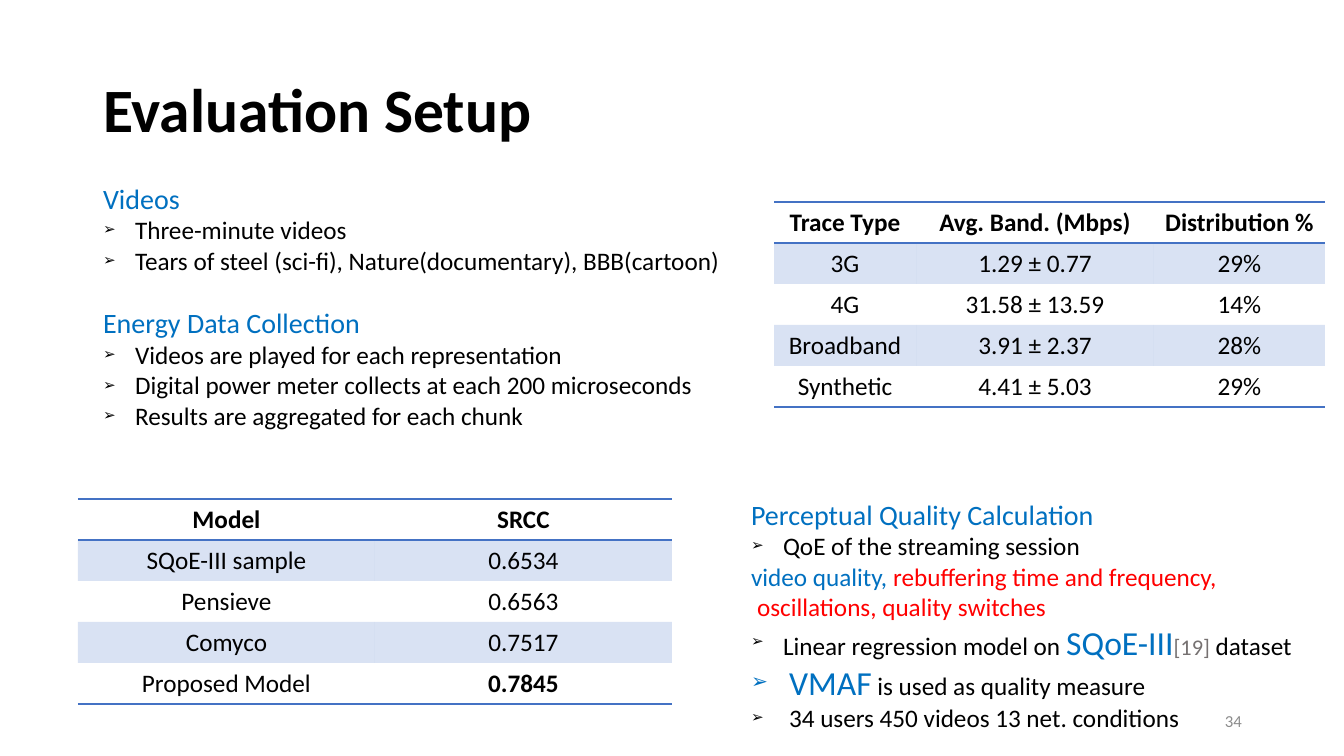
from dataclasses import dataclass
from typing import Any, Optional

from lxml.etree import SubElement
from pptx import Presentation
from pptx.dml.color import RGBColor as Rgb
from pptx.enum.text import MSO_ANCHOR as Anchor, MSO_AUTO_SIZE as Fit, PP_ALIGN as Align
from pptx.oxml.ns import qn
from pptx.util import Emu, Pt

SCALE = 914400 / 100.8  # EMU in one px
PLAIN = "{2D5ABB26-0587-4C30-8999-92F81FD0307C}"  # table style without lines


@dataclass(frozen=True)
class Theme:
    font: str = "Calibri"
    ink: str = "000000"
    blue: str = "0070C0"
    red: str = "FF0000"
    cite: str = "767171"
    page: str = "8C8C8C"
    rule: str = "4472C4"
    title: int = 44
    big: int = 24
    head: int = 20
    body: int = 18
    ref: int = 16
    small: int = 12


T = Theme()


@dataclass(frozen=True)
class Box:
    left: int
    top: int
    width: int
    height: int


@dataclass(frozen=True)
class Run:
    text: str
    size: int = T.body
    color: str = T.ink
    bold: bool = False


@dataclass(frozen=True)
class Line:
    runs: tuple[Run, ...]
    indent: int = 0
    bullet: bool = False
    before: int = 0


@dataclass(frozen=True)
class Grid:
    left: int
    top: int
    cols: tuple[int, ...]
    rows: tuple[tuple[str, ...], ...]
    strong: Optional[str] = None  # body value set in bold
    high: int = 41


def px(n: int) -> Emu:
    return Emu(round(n * SCALE))


def head(text: str, before: int = 0) -> Line:
    return Line((Run(text, T.head, T.blue),), before=before)


def item(*runs: Run, indent: int = 32) -> Line:
    return Line(runs, indent, True)


# Content
VIDEOS = (
    head("Videos"),
    item(Run("Three-minute videos")),
    item(Run("Tears of steel (sci-fi), Nature(documentary), BBB(cartoon)")),
    head("Energy Data Collection", before=22),
    item(Run("Videos are played for each representation")),
    item(Run("Digital power meter collects at each 200 microseconds")),
    item(Run("Results are aggregated for each chunk")),
)
QUALITY = (
    head("Perceptual Quality Calculation"),
    item(Run("QoE of the streaming session")),
    Line((Run("video quality, ", color=T.blue),
          Run("rebuffering time and frequency,", color=T.red))),
    Line((Run("oscillations, quality switches", color=T.red),), indent=6),
    item(Run("Linear regression model on "), Run("SQoE-III", T.big, T.blue),
         Run("[19]", T.ref, T.cite), Run(" dataset")),
    item(Run("VMAF", T.big, T.blue), Run(" is used as quality measure"), indent=38),
    item(Run("34 users 450 videos 13 net. conditions"), indent=38),
)
GRIDS = (
    Grid(774, 202, (142, 238, 171), (
        ("Trace Type", "Avg. Band. (Mbps)", "Distribution %"),
        ("3G", "1.29 ± 0.77", "29%"),
        ("4G", "31.58 ± 13.59", "14%"),
        ("Broadband", "3.91 ± 2.37", "28%"),
        ("Synthetic", "4.41 ± 5.03", "29%"),
    )),
    Grid(78, 499, (297, 297), (
        ("Model", "SRCC"),
        ("SQoE-III sample", "0.6534"),
        ("Pensieve", "0.6563"),
        ("Comyco", "0.7517"),
        ("Proposed Model", "0.7845"),
    ), strong="0.7845"),
)


# Text
def write(par: Any, text: str, *, size: int = T.body, color: str = T.ink,
          bold: bool = False, align: Align = Align.LEFT) -> None:
    par.alignment = align
    run = par.add_run()
    run.text = text
    font = run.font
    font.name, font.size, font.bold = T.font, Pt(size), bold
    font.color.rgb = Rgb.from_string(color)


def place(shape: Any, box: Box, anchor: Anchor) -> Any:
    shape.left, shape.top = px(box.left), px(box.top)
    shape.width, shape.height = px(box.width), px(box.height)
    frame = shape.text_frame
    frame.word_wrap, frame.auto_size = True, Fit.NONE
    frame.vertical_anchor = anchor
    return frame


def mark(par: Any, line: Line) -> None:
    props = par._p.get_or_add_pPr()
    props.set("marL", str(px(line.indent)))
    props.set("indent", str(-px(line.indent) if line.bullet else 0))
    if line.bullet:
        SubElement(props, qn("a:buSzPct"), val="60000")
        SubElement(props, qn("a:buChar"), char="➢")
    else:
        SubElement(props, qn("a:buNone"))


def fill_list(shape: Any, box: Box, lines: tuple[Line, ...]) -> None:
    frame = place(shape, box, Anchor.TOP)
    for i, line in enumerate(lines):
        par = frame.add_paragraph() if i else frame.paragraphs[0]
        mark(par, line)
        par.space_before = Pt(line.before)
        for run in line.runs:
            write(par, run.text, size=run.size, color=run.color, bold=run.bold)


# Tables
def edge(cell: Any, tag: str, slot: int) -> None:
    props = cell._tc.get_or_add_tcPr()
    line = SubElement(props, qn(tag), w=str(Pt(1)))
    solid = SubElement(line, qn("a:solidFill"))
    SubElement(solid, qn("a:srgbClr"), val=T.rule)
    props.insert(slot, line)


def shade(cell: Any) -> None:
    cell.fill.solid()
    cell.fill.fore_color.rgb = Rgb.from_string(T.rule)
    tone = cell._tc.tcPr.find(".//" + qn("a:srgbClr"))
    SubElement(tone, qn("a:alpha"), val="20000")


def draw_grid(slide: Any, grid: Grid) -> None:
    count = len(grid.rows)
    table = slide.shapes.add_table(
        count, len(grid.cols), px(grid.left), px(grid.top),
        px(sum(grid.cols)), px(grid.high * count)).table
    table._tbl.tblPr.find(qn("a:tableStyleId")).text = PLAIN
    table.horz_banding = False
    for col, width in zip(table.columns, grid.cols):
        col.width = px(width)
    for r, texts in enumerate(grid.rows):
        table.rows[r].height = px(grid.high)
        for c, text in enumerate(texts):
            cell = table.cell(r, c)
            write(cell.text_frame.paragraphs[0], text, align=Align.CENTER,
                  bold=r == 0 or text == grid.strong)
            if r % 2:
                shade(cell)
            else:
                cell.fill.background()
            if r == 0:
                edge(cell, "a:lnT", 0)
            if r in (0, count - 1):
                edge(cell, "a:lnB", int(r == 0))


def main() -> None:
    deck = Presentation()
    deck.slide_width, deck.slide_height = px(1344), px(756)
    slide = deck.slides.add_slide(deck.slide_layouts[3])
    title, left, right = slide.placeholders

    # Title and lists
    par = place(title, Box(93, 40, 1159, 146), Anchor.MIDDLE).paragraphs[0]
    par.line_spacing = 0.9
    write(par, "Evaluation Setup", size=T.title, bold=True)
    fill_list(left, Box(93, 176, 649, 261), VIDEOS)
    fill_list(right, Box(741, 492, 569, 248), QUALITY)

    for grid in GRIDS:
        draw_grid(slide, grid)

    # Page number
    page = slide.shapes.add_textbox(0, 0, 0, 0)
    par = place(page, Box(950, 701, 302, 40), Anchor.MIDDLE).paragraphs[0]
    write(par, "34", size=T.small, color=T.page, align=Align.RIGHT)

    deck.save("out.pptx")


if __name__ == "__main__":
    main()
